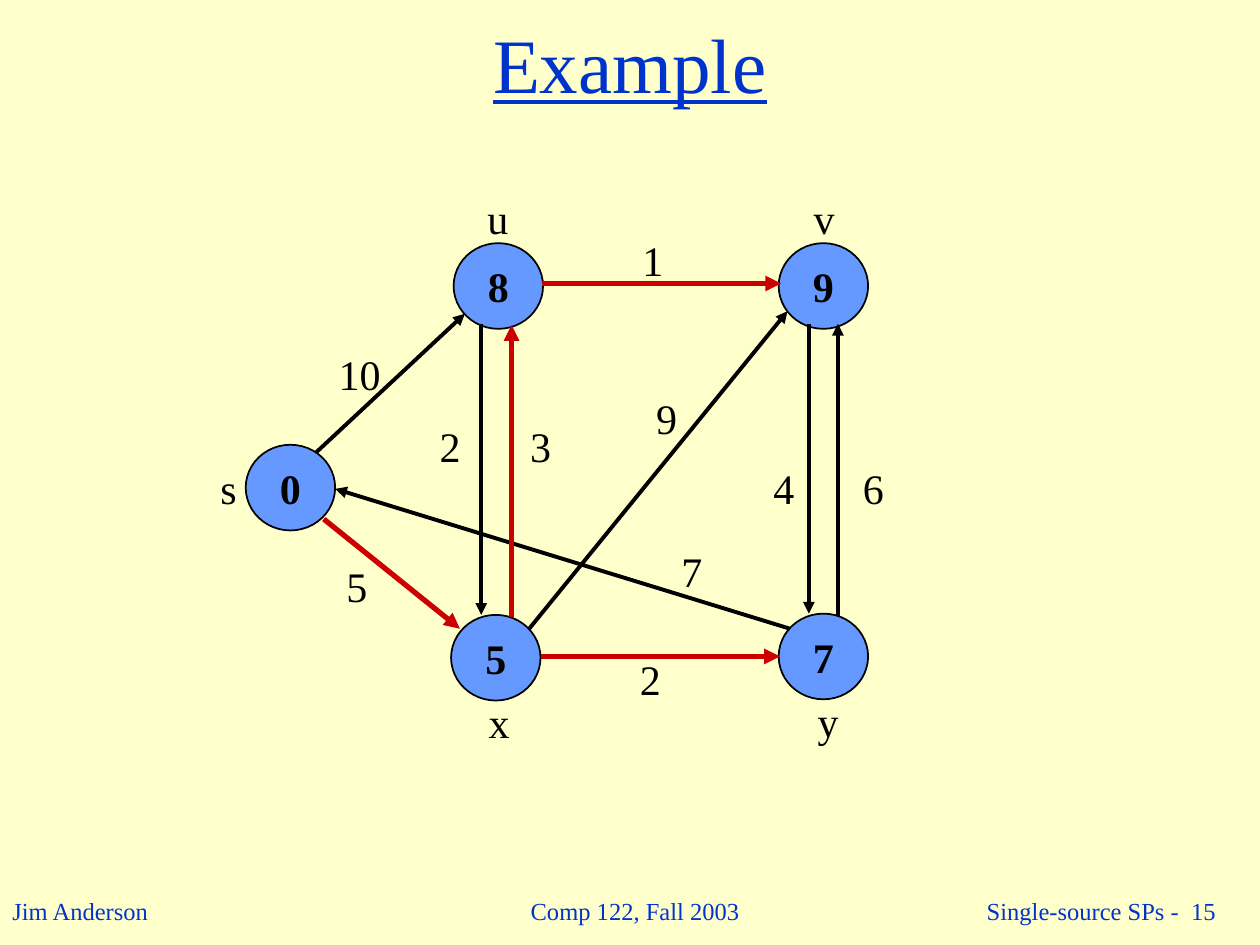
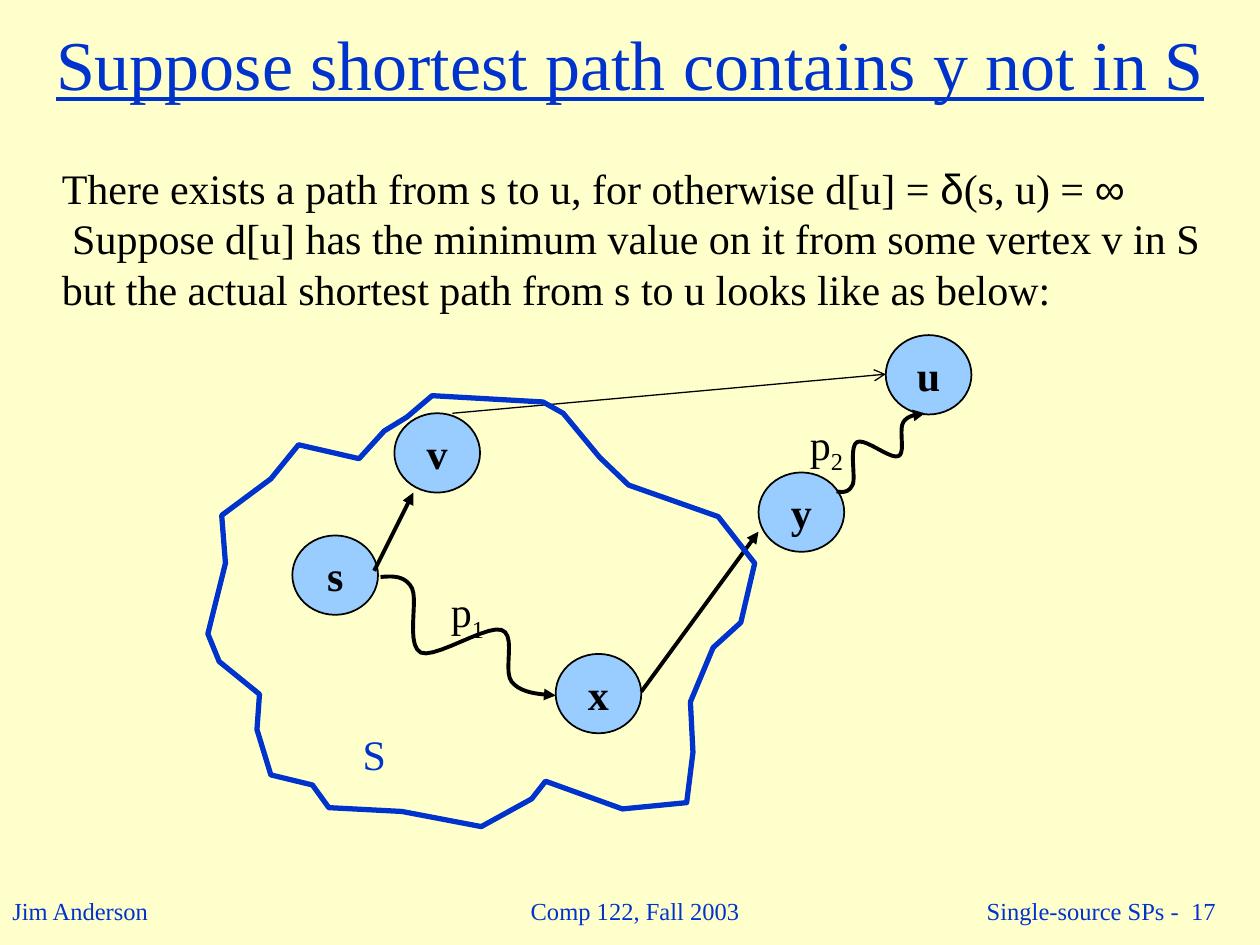
from lxml import etree
from pptx import Presentation
from pptx import util as u
from pptx.dml.color import RGBColor
from pptx.enum import shapes, text
from pptx.oxml import ns

FONT, SYMBOL_FONT = "Times New Roman", "Arial"
CREAM, BLUE, BLACK, RED = "FFFFCC", "0033CC", "000000", "CC0000"
NODE_BLUE, NODE_PALE = "6699FF", "99CCFF"
LEFT, CENTER, RIGHT = text.PP_ALIGN.LEFT, text.PP_ALIGN.CENTER, text.PP_ALIGN.RIGHT
color = RGBColor.from_string


def write(shape, content, size, ink, align=LEFT, anchor=text.MSO_ANCHOR.TOP, wrap=False):
    """Put one styled paragraph into a shape and return the paragraph."""
    frame = shape.text_frame
    frame.word_wrap = wrap
    frame.auto_size = text.MSO_AUTO_SIZE.NONE
    frame.vertical_anchor = anchor
    paragraph = frame.paragraphs[0]
    paragraph.text = content
    paragraph.alignment = align
    paragraph.font.name = FONT
    paragraph.font.size = u.Pt(size)
    paragraph.font.color.rgb = color(ink)
    return paragraph


def stroke(shape, ink, width, arrow=None):
    """Style an outline without shadow, with an optional arrowhead at its end."""
    shape.line.color.rgb = color(ink)
    shape.line.width = u.Pt(width)
    if arrow:
        etree.SubElement(shape.get_or_add_ln(), ns.qn("a:tailEnd"), type=arrow)
    etree.SubElement(shape._element.spPr, ns.qn("a:effectLst"))


# Slide contents: nodes (text, left, top), edges (from, to, colour, width, arrow),
# labels (text, subscript, left, top, width, colour)
example = {
    "title": "Example", "title_size": 44, "number": 15, "layout": 5,
    "node_size": (0.71, 0.68), "node_fill": NODE_BLUE,
    "nodes": [("0", 1.95, 3.53), ("7", 6.18, 4.87), ("5", 3.58, 4.88),
              ("9", 6.18, 1.93), ("8", 3.6, 1.93)],
    "edges": [(start, end, BLACK, 2.25, "triangle") for start, end in [
        ((2.51, 3.59), (3.69, 2.49)), ((3.82, 2.57), (3.82, 4.88)),
        ((6.42, 2.57), (6.42, 4.87)), ((6.65, 4.89), (6.65, 2.57)),
        ((4.2, 4.99), (6.25, 2.47)), ((6.27, 4.99), (2.66, 3.88))]]
    + [(start, end, RED, 3, "triangle") for start, end in [
        ((2.57, 4.12), (3.65, 4.99)), ((4.06, 4.9), (4.06, 2.58)),
        ((4.29, 5.21), (6.19, 5.21)), ((4.3, 2.25), (6.2, 2.25))]],
    "labels": [("s", "", 1.65, 3.62, 0.33, BLACK), ("10", "", 2.59, 2.72, 0.53, BLACK)]
    + [(name, "", left, top, 0.36, BLACK) for name, left, top in [
        ("u", 3.77, 1.48), ("v", 6.36, 1.48), ("x", 3.78, 5.48), ("y", 6.39, 5.47),
        ("1", 5, 1.81), ("9", 5.11, 3.07), ("2", 4.98, 5.14), ("4", 6.04, 3.62),
        ("6", 6.75, 3.62), ("5", 2.65, 4.4), ("2", 3.39, 3.29), ("3", 4.11, 3.29),
        ("7", 5.31, 4.28)]],
}
proof = {
    "title": "Suppose shortest path contains y not in S",
    "title_size": 40, "number": 17, "layout": 1,
    "node_size": (0.68, 0.63), "node_fill": NODE_PALE,
    "nodes": [("x", 4.41, 5.19), ("s", 2.32, 4.25), ("y", 6.02, 3.75),
              ("u", 7.03, 2.66), ("v", 3.13, 3.28)],
    "edges": [((5.09, 5.49), (6.02, 4.22), BLACK, 2.25, "triangle"),
              ((2.97, 4.53), (3.28, 3.91), BLACK, 2.25, "triangle"),
              ((3.59, 3.28), (7.03, 2.97), BLACK, 0.75, "arrow")],
    "labels": [("S", "", 2.78, 5.73, 0.38, BLUE),
               ("p", "1", 3.48, 4.6, 0.46, BLACK), ("p", "2", 6.33, 3.27, 0.46, BLACK)],
}

presentation = Presentation()
presentation.slide_width, presentation.slide_height = u.Inches(10), u.Inches(7.5)
background = presentation.slide_master.background.fill
background.solid()
background.fore_color.rgb = color(CREAM)

for content in (example, proof):
    slide = presentation.slides.add_slide(presentation.slide_layouts[content["layout"]])

    # Title
    title = slide.shapes.title
    title.left, title.top, title.width, title.height = map(u.Inches, (0, 0, 10, 1))
    paragraph = write(title, content["title"], content["title_size"], BLUE, CENTER,
                      text.MSO_ANCHOR.MIDDLE, wrap=True)
    paragraph.font.underline = True

    # Footers
    for footer, box, align in [
            ("Jim Anderson", (0, 7.06, 1.29, 0.34), LEFT),
            ("Comp 122, Fall 2003", (4, 6.98, 2.08, 0.5), CENTER),
            (f" Single-source SPs -  {content['number']}", (8.75, 7.02, 1, 0.42), RIGHT)]:
        shape = slide.shapes.add_textbox(*map(u.Inches, box))
        write(shape, footer, 14, BLUE, align, text.MSO_ANCHOR.MIDDLE)

    # Nodes
    for name, left, top in content["nodes"]:
        node = slide.shapes.add_shape(shapes.MSO_SHAPE.OVAL,
                                      *map(u.Inches, (left, top, *content["node_size"])))
        node.fill.solid()
        node.fill.fore_color.rgb = color(content["node_fill"])
        stroke(node, BLACK, 1)
        paragraph = write(node, name, 24, BLACK, CENTER, text.MSO_ANCHOR.MIDDLE)
        paragraph.font.bold = True

    # Edges
    for start, end, ink, width, arrow in content["edges"]:
        edge = slide.shapes.add_connector(shapes.MSO_CONNECTOR.STRAIGHT,
                                          *map(u.Inches, start + end))
        stroke(edge, ink, width, arrow)

    # Labels
    for name, subscript, left, top, width, ink in content["labels"]:
        label = slide.shapes.add_textbox(*map(u.Inches, (left, top, width, 0.5)))
        paragraph = write(label, name, 24, ink)
        if subscript:
            run = paragraph.add_run()
            run.text = subscript
            run._r.get_or_add_rPr().set("baseline", "-25000")

# Explanation on the proof slide
body = slide.placeholders[1]
body.left, body.top, body.width, body.height = map(u.Inches, (0.39, 1.24, 9.61, 1.3))
first = write(body, "", 24, BLACK, wrap=True)
for words, font in [("There exists a path from s to u, for otherwise d[u] = ", FONT),
                    ("δ", SYMBOL_FONT), ("(s, u) = ", FONT), ("∞", SYMBOL_FONT)]:
    run = first.add_run()
    run.text, run.font.name = words, font
second = body.text_frame.add_paragraph()
second.add_run().text = " Suppose d[u] has the minimum value on it from some vertex v in S"
second.add_line_break()
second.add_run().text = "but the actual shortest path from s to u looks like as below:"
second.font.name, second.font.size = FONT, u.Pt(24)
second.font.color.rgb = color(BLACK)
for paragraph in (first, second):
    paragraph.space_before = u.Pt(0)
    paragraph.line_spacing = u.Pt(28.8)
    properties = paragraph._p.get_or_add_pPr()
    properties.set("marL", "0")
    properties.set("indent", "0")
    properties.insert_element_before(etree.Element(ns.qn("a:buNone")),
                                     "a:tabLst", "a:defRPr", "a:extLst")

# Border of the set S
border = [
    (3.05, 3.42), (2.85, 3.64), (2.37, 3.53), (2.15, 3.8), (1.76, 4.09), (1.79, 4.47),
    (1.65, 5.03), (1.74, 5.25), (2.06, 5.51), (2.04, 5.79), (2.15, 6.15), (2.48, 6.23),
    (2.61, 6.41), (3.19, 6.44), (3.82, 6.56), (4.22, 6.34), (4.33, 6.2), (4.94, 6.42),
    (5.45, 6.37), (5.5, 5.97), (5.48, 5.57), (5.66, 5.14), (5.88, 4.94), (5.99, 4.47),
    (5.7, 4.1), (4.99, 3.85), (4.76, 3.63), (4.47, 3.28), (4.31, 3.19), (3.43, 3.14),
    (3.23, 3.31)]

# Wavy paths p1 and p2: a start, then two control points and an end for each curve
path_1 = [
    (3.02, 4.58), (3.12, 4.57), (3.22, 4.57), (3.27, 4.67), (3.32, 4.77), (3.22, 5.12),
    (3.34, 5.18), (3.45, 5.23), (3.86, 4.96), (3.98, 5), (4.1, 5.04), (3.99, 5.32),
    (4.06, 5.41), (4.13, 5.5), (4.27, 5.51), (4.41, 5.52)]
path_2 = [
    (6.64, 3.9), (6.69, 3.91), (6.74, 3.91), (6.77, 3.84), (6.79, 3.78), (6.74, 3.55),
    (6.8, 3.51), (6.86, 3.47), (7.07, 3.65), (7.13, 3.62), (7.19, 3.6), (7.13, 3.41),
    (7.17, 3.35), (7.2, 3.3), (7.27, 3.29), (7.34, 3.28)]
STEPS = 10
outlines = [(border, True, BLUE, 3, None)]
for controls in (path_1, path_2):
    curve = controls[:1]
    for i in range(0, len(controls) - 1, 3):
        for t in (step / STEPS for step in range(1, STEPS + 1)):
            weights = ((1 - t) ** 3, 3 * t * (1 - t) ** 2, 3 * t ** 2 * (1 - t), t ** 3)
            curve.append(tuple(sum(weight * point[axis] for weight, point
                                   in zip(weights, controls[i:i + 4])) for axis in (0, 1)))
    outlines.append((curve, False, BLACK, 2.25, "triangle"))

for points, closed, ink, width, arrow in outlines:
    corners = [(u.Inches(x), u.Inches(y)) for x, y in points]
    builder = slide.shapes.build_freeform(*corners[0])
    builder.add_line_segments(corners[1:], close=closed)
    outline = builder.convert_to_shape()
    outline.fill.background()
    stroke(outline, ink, width, arrow)

presentation.save("out.pptx")
